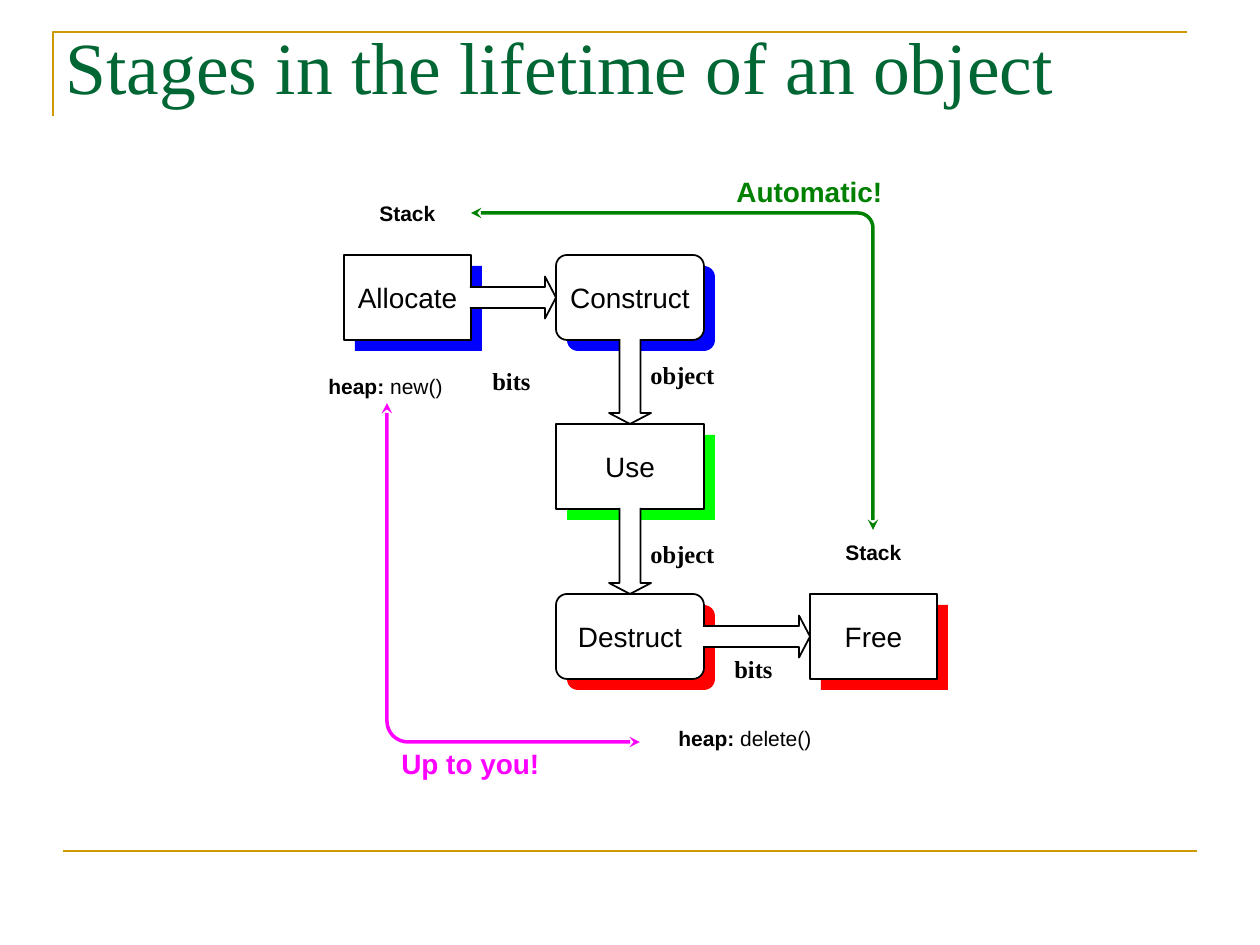
from math import cos, pi, sin

from lxml.etree import SubElement
from pptx import Presentation
from pptx.dml.color import RGBColor
from pptx.enum.shapes import MSO_CONNECTOR, MSO_SHAPE
from pptx.enum.text import MSO_ANCHOR, MSO_AUTO_SIZE, PP_ALIGN
from pptx.oxml.ns import qn
from pptx.util import Pt


class Theme:
    SANS, SERIF = "Arial", "Times New Roman"
    TITLE, RULE = "006633", "CC9900"
    BLACK, WHITE = "000000", "FFFFFF"
    BLUE, LIME, RED = "0000FF", "00FF00", "FF0000"
    GREEN, MAGENTA = "008000", "FF00FF"
    TITLE_SIZE, STAGE_SIZE, STATE_SIZE, NOTE_SIZE = 42, 16, 14, 12
    RULE_WIDTH, BOX_WIDTH, PATH_WIDTH = 1.5, 1, 2


# Content: lengths in px, 126 to the inch
TITLE = "Stages in the lifetime of an object"
BOX_H, SHADOW, RADIUS = 85, 11, 11
ARROW_W, SHAFT_W, HEAD = 42, 21, 11

# name: (x, y, width, shape, shadow colour)
STAGES = {
    "Allocate": (344, 255, 127, MSO_SHAPE.RECTANGLE, Theme.BLUE),
    "Construct": (556, 255, 148, MSO_SHAPE.ROUNDED_RECTANGLE, Theme.BLUE),
    "Use": (556, 424, 148, MSO_SHAPE.RECTANGLE, Theme.LIME),
    "Destruct": (556, 594, 148, MSO_SHAPE.ROUNDED_RECTANGLE, Theme.RED),
    "Free": (810, 594, 127, MSO_SHAPE.RECTANGLE, Theme.RED),
}

# Start, corner, end, corner radius, colour
PATHS = [
    ((471, 213), (873, 213), (873, 530), 15, Theme.GREEN),
    ((387, 403), (387, 742), (640, 742), 21, Theme.MAGENTA),
]

# Style: (font, size, colour)
STATE = (Theme.SERIF, Theme.STATE_SIZE, Theme.BLACK)
NOTE = (Theme.SANS, Theme.NOTE_SIZE, Theme.BLACK)
AUTOMATIC = (Theme.SANS, Theme.STAGE_SIZE, Theme.GREEN)
MANUAL = (Theme.SANS, Theme.STAGE_SIZE, Theme.MAGENTA)

# Bold text, plain text, x, y, width, height, style
LABELS = [
    ("bits", "", 480, 360, 64, 42, STATE),
    ("object", "", 638, 354, 89, 42, STATE),
    ("object", "", 638, 533, 89, 42, STATE),
    ("bits", "", 722, 648, 64, 42, STATE),
    ("Stack", "", 367, 194, 82, 38, NOTE),
    ("Stack", "", 833, 533, 82, 38, NOTE),
    ("heap:", " new()", 316, 367, 141, 38, NOTE),
    ("heap:", " delete()", 666, 719, 159, 38, NOTE),
    ("Automatic!", "", 724, 168, 171, 47, AUTOMATIC),
    ("Up to you!", "", 389, 740, 164, 47, MANUAL),
]


def px(n):
    return round(n * 914400 / 126)


def color(value):
    return RGBColor.from_string(value)


def paint(s, fill=None, line=None, width=Theme.BOX_WIDTH):
    s.shadow.inherit = False
    if fill:
        s.fill.solid()
        s.fill.fore_color.rgb = color(fill)
    else:
        s.fill.background()
    if line:
        s.line.color.rgb = color(line)
        s.line.width = Pt(width)
    else:
        s.line.fill.background()


def set_font(p, name, size, value):
    p.font.name, p.font.size = name, Pt(size)
    p.font.color.rgb = color(value)


def open_path(points):
    (x, y), *rest = [(px(x), px(y)) for x, y in points]
    builder = shapes.build_freeform(x, y)
    builder.add_line_segments(rest, close=False)
    return builder.convert_to_shape()


def add_box(x, y, w, kind, fill, line=None):
    s = shapes.add_shape(kind, px(x), px(y), px(w), px(BOX_H))
    if kind == MSO_SHAPE.ROUNDED_RECTANGLE:
        s.adjustments[0] = RADIUS / BOX_H
    paint(s, fill, line)
    return s


def add_stage(name, x, y, w, kind, shadow):
    add_box(x + SHADOW, y + SHADOW, w, kind, shadow)
    s = add_box(x, y, w, kind, Theme.WHITE, Theme.BLACK)
    tf = s.text_frame
    tf.margin_left = tf.margin_right = 0
    tf.vertical_anchor = MSO_ANCHOR.MIDDLE
    tf.text = name
    p = tf.paragraphs[0]
    p.alignment = PP_ALIGN.CENTER
    set_font(p, Theme.SANS, Theme.STAGE_SIZE, Theme.BLACK)


def add_block_arrow(source, target):
    """Open-ended block arrow, merging into the border of its source box."""
    x1, y1, w1 = STAGES[source][:3]
    x2, y2, w2 = STAGES[target][:3]
    across = y1 == y2
    if across:
        start, end, mid = x1 + w1, x2, y1 + BOX_H / 2
    else:
        start, end, mid = y1 + BOX_H, y2, x1 + w1 / 2
    neck, shaft, wing = end - HEAD, SHAFT_W / 2, ARROW_W / 2
    outline = [(start - 1, -shaft), (neck, -shaft), (neck, -wing), (end, 0),
               (neck, wing), (neck, shaft), (start - 1, shaft)]
    points = [(a, mid + b) if across else (mid + b, a) for a, b in outline]
    paint(open_path(points), Theme.WHITE, Theme.BLACK)


def toward(a, b, distance):
    """Point at the given distance from a on a level or upright line to b."""
    length = abs(b[0] - a[0]) + abs(b[1] - a[1])
    return tuple(i + (j - i) * distance / length for i, j in zip(a, b))


def add_rounded_path(start, corner, end, radius, line):
    p, q = toward(corner, start, radius), toward(corner, end, radius)
    center = [a + b - c for a, b, c in zip(p, q, corner)]
    steps = 8
    angles = [i * pi / 2 / steps for i in range(steps + 1)]
    arc = [tuple(c + (a - c) * cos(t) + (b - c) * sin(t)
                 for a, b, c in zip(p, q, center)) for t in angles]
    s = open_path([start, *arc, end])
    paint(s, line=line, width=Theme.PATH_WIDTH)
    ln = s.line._get_or_add_ln()
    for tag in ("a:headEnd", "a:tailEnd"):
        SubElement(ln, qn(tag), type="stealth")


def add_label(bold, plain, x, y, w, h, style):
    tf = shapes.add_textbox(px(x), px(y), px(w), px(h)).text_frame
    tf.word_wrap = False
    tf.auto_size = MSO_AUTO_SIZE.SHAPE_TO_FIT_TEXT
    p = tf.paragraphs[0]
    set_font(p, *style)
    for text, is_bold in ((bold, True), (plain, False)):
        if text:
            r = p.add_run()
            r.text, r.font.bold = text, is_bold


prs = Presentation()
prs.slide_width, prs.slide_height = px(1260), px(945)
slide = prs.slides.add_slide(prs.slide_layouts[5])
shapes = slide.shapes

# Title
title = shapes.title
title.left, title.top, title.width, title.height = map(px, (53, 0, 1124, 116))
tf = title.text_frame
tf.text = TITLE
tf.auto_size = MSO_AUTO_SIZE.NONE
tf.vertical_anchor = MSO_ANCHOR.BOTTOM
p = tf.paragraphs[0]
p.alignment = PP_ALIGN.LEFT
set_font(p, Theme.SERIF, Theme.TITLE_SIZE, Theme.TITLE)

# Title frame and bottom rule
paint(open_path([(53, 116), (53, 32), (1187, 32)]),
      line=Theme.RULE, width=Theme.RULE_WIDTH)
rule = shapes.add_connector(MSO_CONNECTOR.STRAIGHT, px(63), px(851), px(1197), px(851))
rule.line.color.rgb = color(Theme.RULE)
rule.line.width = Pt(Theme.RULE_WIDTH)
SubElement(rule._element.spPr, qn("a:effectLst"))

# Stages, each joined to the next
for name, stage in STAGES.items():
    add_stage(name, *stage)
names = list(STAGES)
for source, target in zip(names, names[1:]):
    add_block_arrow(source, target)

# Paths between allocating and freeing, then labels
for path in PATHS:
    add_rounded_path(*path)
for label in LABELS:
    add_label(*label)

prs.save("out.pptx")
